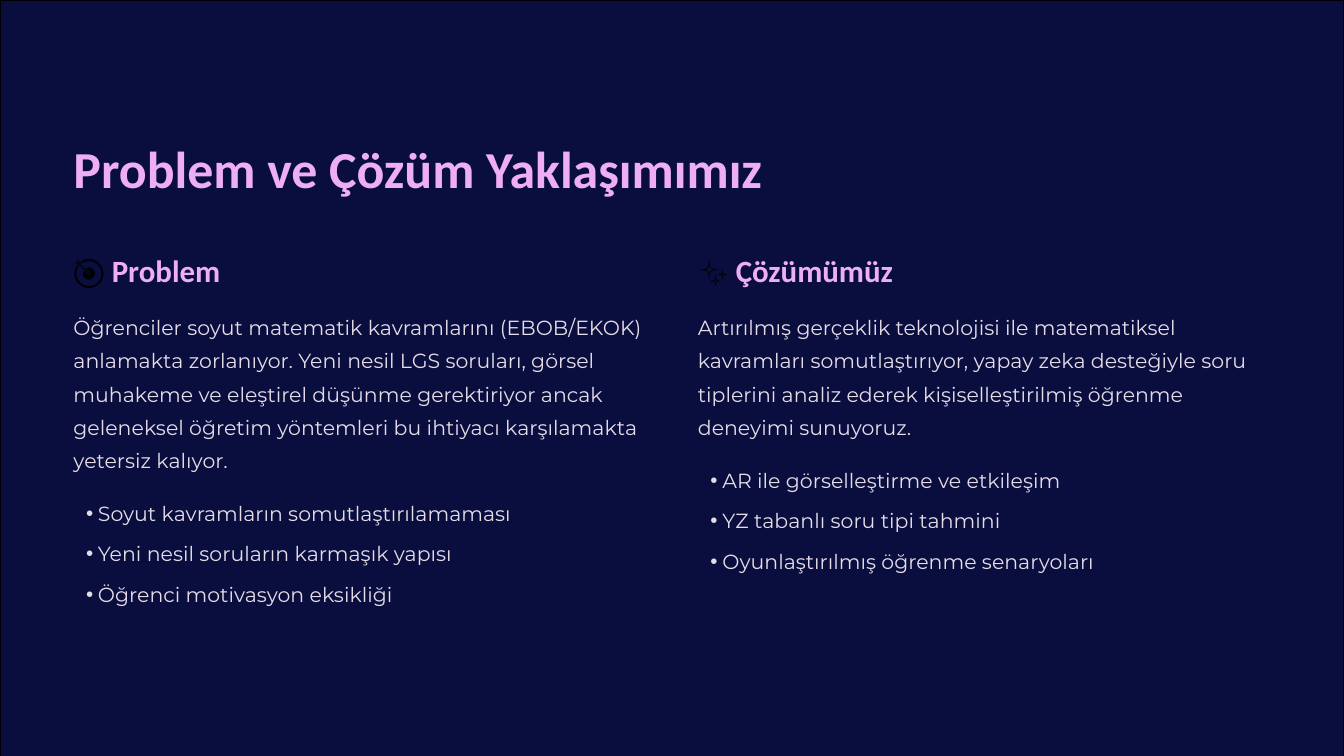
from dataclasses import dataclass

from lxml.etree import SubElement
from pptx import Presentation
from pptx.dml.color import RGBColor
from pptx.enum.shapes import MSO_SHAPE
from pptx.enum.text import MSO_ANCHOR, MSO_AUTO_SIZE, PP_ALIGN
from pptx.oxml.ns import qn
from pptx.shapes.autoshape import Shape
from pptx.slide import Slide
from pptx.util import Emu, Pt

PX = 9525
W, H = 1920, 1080
PINK, PALE, BLACK = "EEAEF6", "E5DCE6", "000000"
LEFT, COLUMN_STEP = 105, 892
BODY_TOP, BODY_W = 438, 820
BULLET_H, BULLET_STEP = 57, 58
BULLET_INDENT, BULLET_HANG = 35, 17


@dataclass
class Column:
    icon: str
    heading: str
    body: str
    body_h: int
    bullets: list[str]


COLUMNS = [
    Column(
        "🎯", "Problem",
        "Öğrenciler soyut matematik kavramlarını (EBOB/EKOK) anlamakta zorlanıyor. "
        "Yeni nesil LGS soruları, görsel muhakeme ve eleştirel düşünme gerektiriyor "
        "ancak geleneksel öğretim yöntemleri bu ihtiyacı karşılamakta yetersiz kalıyor.",
        247,
        ["Soyut kavramların somutlaştırılamaması",
         "Yeni nesil soruların karmaşık yapısı",
         "Öğrenci motivasyon eksikliği"],
    ),
    Column(
        "✨", "Çözümümüz",
        "Artırılmış gerçeklik teknolojisi ile matematiksel kavramları somutlaştırıyor, "
        "yapay zeka desteğiyle soru tiplerini analiz ederek kişiselleştirilmiş öğrenme "
        "deneyimi sunuyoruz.",
        200,
        ["AR ile görselleştirme ve etkileşim",
         "YZ tabanlı soru tipi tahmini",
         "Oyunlaştırılmış öğrenme senaryoları"],
    ),
]


def px(n: int) -> Emu:
    return Emu(n * PX)


def rgb(color: str) -> RGBColor:
    return RGBColor.from_string(color)


def add_panel(s: Slide, y: int, color: str) -> None:
    sp = s.shapes.add_shape(MSO_SHAPE.RECTANGLE, 0, px(y), px(W), px(H))
    sp.shadow.inherit = False
    sp.fill.solid()
    sp.fill.fore_color.rgb = rgb(color)
    sp.line.color.rgb = rgb(BLACK)
    sp.line.width = Pt(1)


def add_box(s: Slide, x: int, y: int, w: int, h: int) -> Shape:
    return s.shapes.add_textbox(px(x), px(y), px(w), px(h))


def write(sp: Shape, text: str, *, size: float = 21.9, spacing: float = 35.6,
          font: str = "Montserrat", color: str = PALE, bold: bool = False,
          icon: str = "", bullet: bool = False) -> None:
    tf = sp.text_frame
    tf.word_wrap = True
    tf.auto_size = MSO_AUTO_SIZE.SHAPE_TO_FIT_TEXT
    tf.vertical_anchor = MSO_ANCHOR.TOP
    tf.margin_left = tf.margin_top = tf.margin_right = tf.margin_bottom = 0
    p = tf.paragraphs[0]
    p.alignment = PP_ALIGN.LEFT
    p.line_spacing = Pt(spacing)
    p.space_before = Pt(0)
    if bullet:
        p.level = 1
        pPr = p._p.get_or_add_pPr()
        pPr.set("marL", str(px(BULLET_INDENT)))
        pPr.set("indent", str(px(-BULLET_HANG)))
        SubElement(pPr, qn("a:buFont"), typeface="Arial")
        SubElement(pPr, qn("a:buChar"), char="•")
    runs = [(icon, BLACK), (f" {text}", color)] if icon else [(text, color)]
    for run_text, run_color in runs:
        r = p.add_run()
        r.text = run_text
        r.font.size = Pt(size)
        r.font.name = font
        r.font.bold = bold
        r.font.color.rgb = rgb(run_color)


def add_title(s: Slide, text: str) -> None:
    sp = s.shapes.title
    s.shapes.element.append(sp.element)
    sp.left, sp.top, sp.width, sp.height = px(LEFT), px(191), px(1189), px(96)
    write(sp, text, size=55.6, spacing=69.4, font="Calibri", color=PINK, bold=True)


def add_column(s: Slide, x: int, col: Column) -> None:
    write(add_box(s, x, 358, 446, 59), col.heading, icon=col.icon,
          size=33.1, spacing=41.2, font="Calibri", color=PINK, bold=True)
    write(add_box(s, x, BODY_TOP, BODY_W, col.body_h), col.body)
    top = BODY_TOP + col.body_h + 18
    for i, text in enumerate(col.bullets):
        write(add_box(s, x, top + i * BULLET_STEP, BODY_W, BULLET_H), text, bullet=True)


def main() -> None:
    prs = Presentation()
    prs.slide_width, prs.slide_height = px(W), px(H)
    s = prs.slides.add_slide(prs.slide_layouts[5])
    add_panel(s, 0, "282D5E")
    add_panel(s, 1, "090E3F")
    add_title(s, "Problem ve Çözüm Yaklaşımımız")
    for i, col in enumerate(COLUMNS):
        add_column(s, LEFT + i * COLUMN_STEP, col)
    prs.save("out.pptx")


if __name__ == "__main__":
    main()
